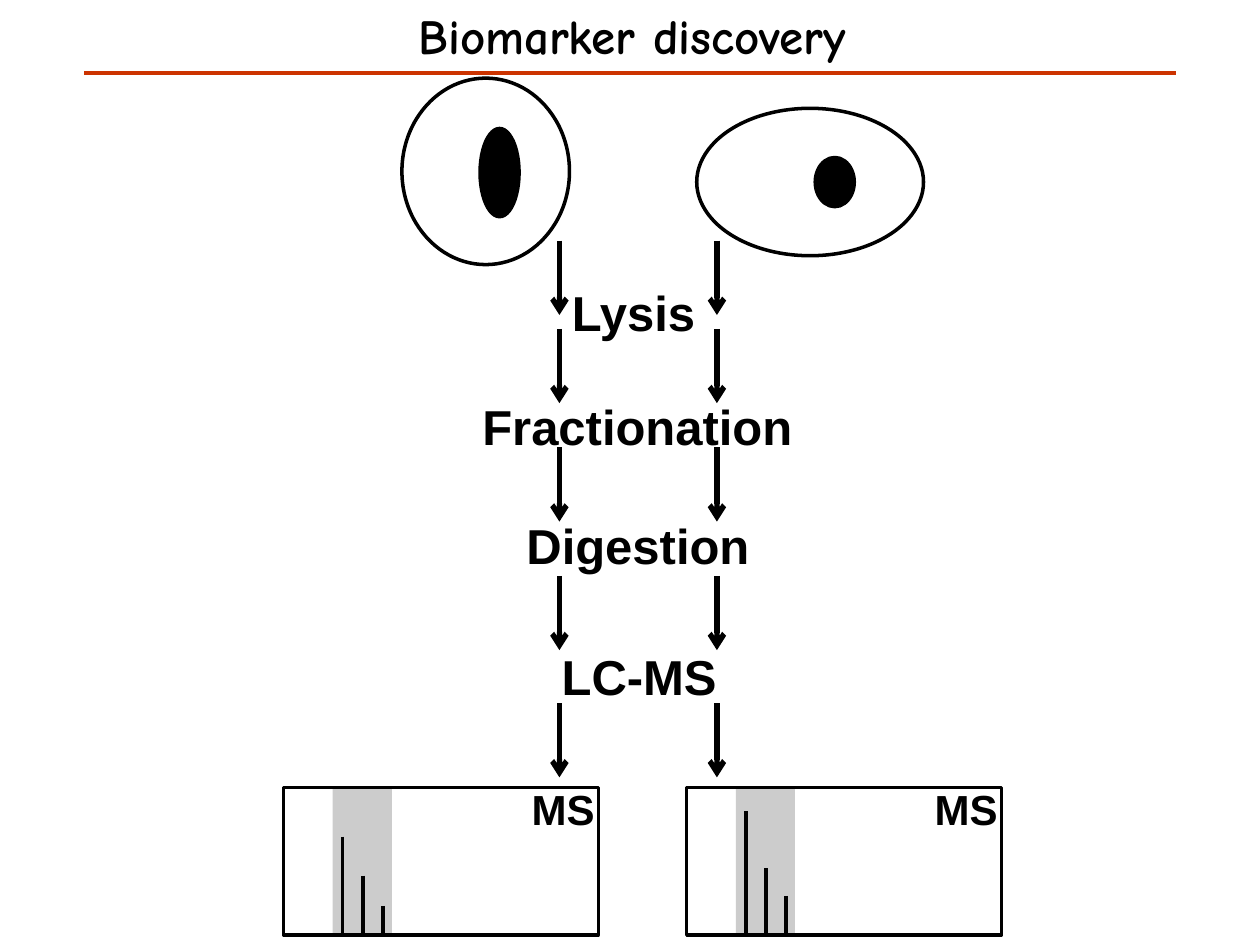
from pptx import Presentation
from pptx.dml.color import RGBColor
from pptx.enum.shapes import MSO_CONNECTOR, MSO_SHAPE
from pptx.enum.text import MSO_ANCHOR, MSO_AUTO_SIZE, PP_ALIGN
from pptx.oxml.ns import qn
from pptx.util import Inches, Pt
from lxml.etree import SubElement

BLACK = RGBColor(0x00, 0x00, 0x00)
RED = RGBColor(0xCC, 0x33, 0x00)
GRAY = RGBColor(0x80, 0x80, 0x80)

prs = Presentation()
prs.slide_width, prs.slide_height = Inches(10), Inches(7.5)
slide = prs.slides.add_slide(prs.slide_layouts[5])
shapes = slide.shapes


def add_line(x1, y1, x2, y2, width=2, color=BLACK, arrow=False):
    line = shapes.add_connector(MSO_CONNECTOR.STRAIGHT, Inches(x1), Inches(y1),
                                Inches(x2), Inches(y2))
    line.line.color.rgb = color
    line.line.width = Pt(width)
    if arrow:
        SubElement(line.line._get_or_add_ln(), qn("a:tailEnd"), type="arrow")
    SubElement(line._element.spPr, qn("a:effectLst"))


def add_label(text, left, top, width, height, size):
    box = shapes.add_textbox(Inches(left), Inches(top), Inches(width), Inches(height))
    frame = box.text_frame
    frame.word_wrap = False
    frame.auto_size = MSO_AUTO_SIZE.SHAPE_TO_FIT_TEXT
    frame.text = text
    font = frame.paragraphs[0].font
    font.name, font.size, font.bold = "Arial", Pt(size), True
    font.color.rgb = BLACK


# Title and rule
title = shapes.title
title.left, title.top = Inches(0.39), Inches(0.08)
title.width, title.height = Inches(9.25), Inches(1.4)
frame = title.text_frame
frame.margin_left = frame.margin_right = frame.margin_top = frame.margin_bottom = 0
frame.vertical_anchor = MSO_ANCHOR.TOP
frame.text = "Biomarker discovery"
heading = frame.paragraphs[0]
heading.alignment = PP_ALIGN.CENTER
heading.line_spacing = 0.95
heading.font.name, heading.font.size, heading.font.bold = "Comic Neue", Pt(28), True
heading.font.color.rgb = BLACK
add_line(0.67, 0.58, 9.33, 0.58, 2.5, RED)

# Two cells, each with its nucleus
for left, top, width, height, is_nucleus in [
    (3.81, 1.02, 0.31, 0.7, True),
    (3.19, 0.62, 1.33, 1.48, False),
    (6.47, 1.25, 0.31, 0.39, True),
    (5.53, 0.86, 1.8, 1.17, False),
]:
    cell = shapes.add_shape(MSO_SHAPE.OVAL, Inches(left), Inches(top),
                            Inches(width), Inches(height))
    cell.shadow.inherit = False
    if is_nucleus:
        cell.fill.solid()
        cell.fill.fore_color.rgb = BLACK
    else:
        cell.fill.background()
    cell.line.color.rgb = BLACK
    cell.line.width = Pt(2)

# Workflow steps
for step, left, top, width in [
    ("Lysis", 4.44, 2.19, 1.19),
    ("Fractionation", 3.73, 3.1, 2.69),
    ("Digestion", 4.08, 4.04, 1.99),
    ("LC-MS", 4.36, 5.08, 1.45),
]:
    add_label(step, left, top, width, 0.57, 28)

# Parallel arrows between the steps
for arrow_top in (1.91, 2.61, 3.55, 4.57, 5.58):
    for arrow_x in (5.69, 4.44):
        add_line(arrow_x, arrow_top, arrow_x, arrow_top + 0.59, 3, arrow=True)

# MS spectra: highlighted band, frame, peaks and label
SPECTRUM_TOP, SPECTRUM_HEIGHT = 6.25, 1.17
BASELINE = SPECTRUM_TOP + SPECTRUM_HEIGHT
for spectrum_left, peak_tops in [
    (2.25, (6.64, 6.95, 7.19)),
    (5.45, (6.44, 6.89, 7.11)),
]:
    band = shapes.add_shape(MSO_SHAPE.RECTANGLE, Inches(spectrum_left + 0.39),
                            Inches(SPECTRUM_TOP), Inches(0.47), Inches(SPECTRUM_HEIGHT))
    band.shadow.inherit = False
    band.fill.solid()
    band.fill.fore_color.rgb = GRAY
    SubElement(band.fill._xPr.find(qn("a:solidFill"))[0], qn("a:alpha"), val="40000")
    band.line.fill.background()

    spectrum = shapes.add_shape(MSO_SHAPE.RECTANGLE, Inches(spectrum_left),
                                Inches(SPECTRUM_TOP), Inches(2.5), Inches(SPECTRUM_HEIGHT))
    spectrum.shadow.inherit = False
    spectrum.fill.background()
    spectrum.line.color.rgb = BLACK
    spectrum.line.width = Pt(2)

    for index, peak_top in enumerate(peak_tops):
        peak_x = spectrum_left + 0.47 + 0.16 * index
        add_line(peak_x, peak_top, peak_x, BASELINE)
    add_label("MS", spectrum_left + 1.87, 6.17, 0.71, 0.51, 24)

prs.save("out.pptx")
